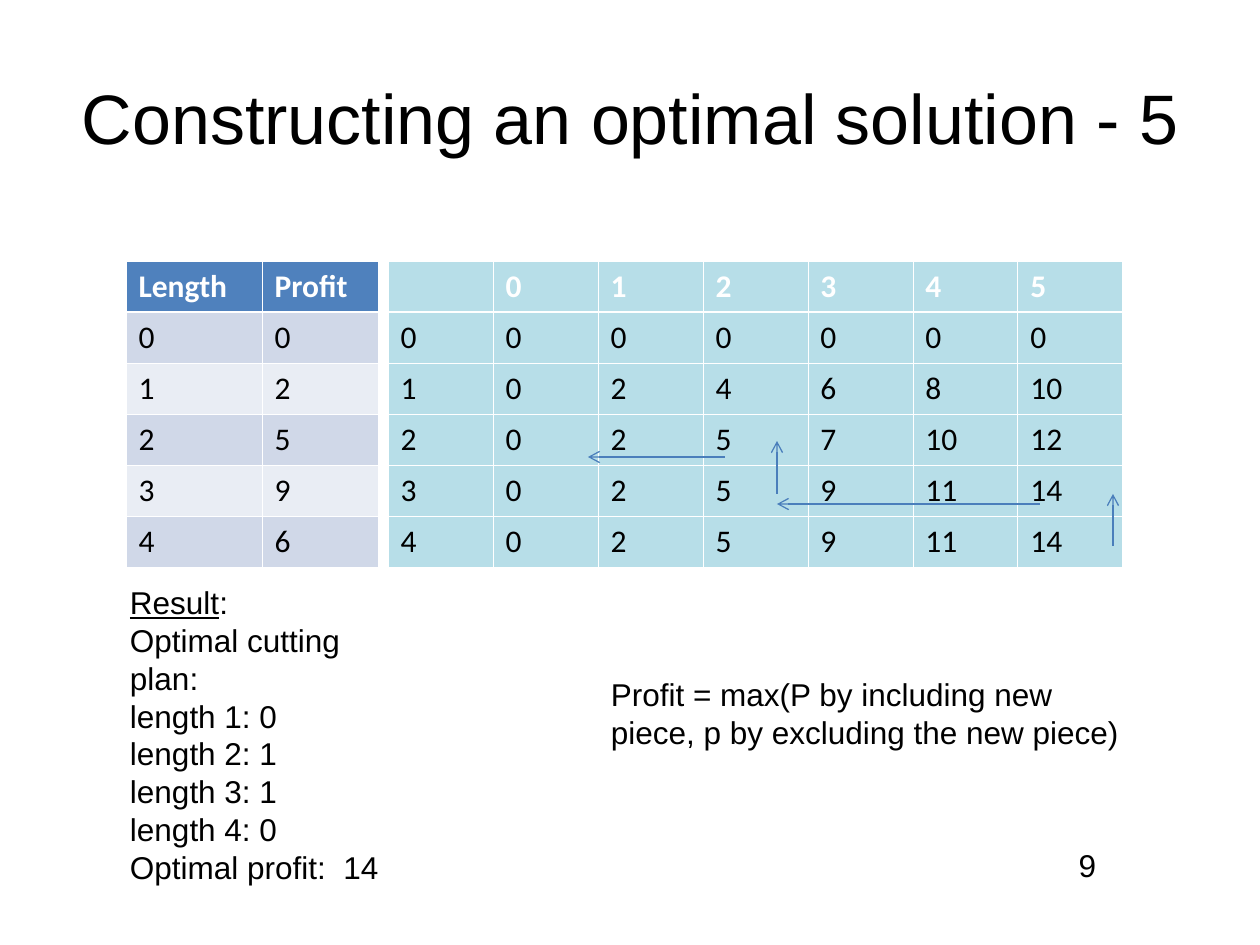
from dataclasses import dataclass

import lxml.etree
import pptx
import pptx.dml.color
import pptx.enum.shapes
import pptx.enum.text
import pptx.oxml.ns
import pptx.util

PX_PER_INCH = 126
ROW_HEIGHT = 51
TABLE_TOP = 261
BLACK, WHITE, ARROW_BLUE = "000000", "FFFFFF", "4A7EBB"
ALIGN = pptx.enum.text.PP_ALIGN
ANCHOR = pptx.enum.text.MSO_ANCHOR


@dataclass
class Run:
    text: str
    underline: bool = False


@dataclass
class Label:
    left: int
    top: int
    width: int
    height: int
    paragraphs: list[list[Run]]
    size: int = 18
    align: ALIGN = ALIGN.LEFT
    anchor: ANCHOR = ANCHOR.TOP
    wrap: bool = True
    side_inset: int = 13


@dataclass
class Grid:
    left: int
    columns: list[int]
    header_fill: str
    body_fills: list[str]
    rows: list[list[str]]


@dataclass
class Arrow:
    start: tuple[int, int]
    end: tuple[int, int]


def px(length: int) -> pptx.util.Emu:
    return pptx.util.Emu(round(length * 914400 / PX_PER_INCH))


def colour(value: str) -> pptx.dml.color.RGBColor:
    return pptx.dml.color.RGBColor.from_string(value)


def add_run(paragraph, run: Run, size: int, face: str, ink: str, bold: bool = False) -> None:
    piece = paragraph.add_run()
    piece.text = run.text
    piece.font.size = pptx.util.Pt(size)
    piece.font.name = face
    piece.font.bold = bold
    piece.font.underline = run.underline
    piece.font.color.rgb = colour(ink)


def add_label(slide, label: Label) -> None:
    box = slide.shapes.add_textbox(
        px(label.left), px(label.top), px(label.width), px(label.height)
    )
    frame = box.text_frame
    frame.word_wrap = label.wrap
    frame.vertical_anchor = label.anchor
    frame.margin_left = frame.margin_right = px(label.side_inset)
    for index, runs in enumerate(label.paragraphs):
        paragraph = frame.add_paragraph() if index else frame.paragraphs[0]
        paragraph.alignment = label.align
        for run in runs:
            add_run(paragraph, run, label.size, "Arial", BLACK)


def add_borders(cell, top: float, bottom: float) -> None:
    properties = cell._tc.get_or_add_tcPr()
    for tag, width in (("a:lnL", 0.45), ("a:lnR", 0.45), ("a:lnT", top), ("a:lnB", bottom)):
        edge = lxml.etree.SubElement(
            properties, pptx.oxml.ns.qn(tag), w=str(pptx.util.Pt(width))
        )
        fill = lxml.etree.SubElement(edge, pptx.oxml.ns.qn("a:solidFill"))
        lxml.etree.SubElement(fill, pptx.oxml.ns.qn("a:srgbClr"), val=WHITE)


def add_grid(slide, grid: Grid) -> None:
    table = slide.shapes.add_table(
        len(grid.rows), len(grid.columns), px(grid.left), px(TABLE_TOP),
        px(sum(grid.columns)), px(ROW_HEIGHT * len(grid.rows)),
    ).table
    for column, width in zip(table.columns, grid.columns):
        column.width = px(width)
    for row_index, values in enumerate(grid.rows):
        table.rows[row_index].height = px(ROW_HEIGHT)
        header = row_index == 0
        fill = grid.header_fill if header else grid.body_fills[(row_index - 1) % len(grid.body_fills)]
        for column_index, value in enumerate(values):
            cell = table.cell(row_index, column_index)
            add_borders(cell, 1.47 if row_index == 1 else 0.45, 1.47 if header else 0.45)
            cell.fill.solid()
            cell.fill.fore_color.rgb = colour(fill)
            cell.vertical_anchor = ANCHOR.MIDDLE
            if value:
                ink = WHITE if header else BLACK
                add_run(cell.text_frame.paragraphs[0], Run(value), 18, "Calibri", ink, header)


def add_arrow(slide, arrow: Arrow) -> None:
    connector = slide.shapes.add_connector(
        pptx.enum.shapes.MSO_CONNECTOR.STRAIGHT,
        *(px(length) for length in arrow.start + arrow.end),
    )
    connector.line.color.rgb = colour(ARROW_BLUE)
    connector.line.width = pptx.util.Pt(0.75)
    lxml.etree.SubElement(
        connector.line._get_or_add_ln(), pptx.oxml.ns.qn("a:tailEnd"), type="arrow"
    )
    lxml.etree.SubElement(connector._element.spPr, pptx.oxml.ns.qn("a:effectLst"))


PAGE_NUMBER = Label(998, 840, 179, 50, [[Run("9")]], align=ALIGN.CENTER)
TITLE = Label(
    63, 38, 1134, 157, [[Run("Constructing an optimal solution - 5")]],
    size=40, align=ALIGN.CENTER, anchor=ANCHOR.MIDDLE, side_inset=0,
)
PROFIT_RULE = Label(
    598, 669, 557, 88,
    [[Run("Profit = max(P by including new piece, p by excluding the new piece)")]],
)
RESULT_LINES = [
    "Optimal cutting plan:",
    "length 1: 0",
    "length 2: 1",
    "length 3: 1",
    "length 4: 0",
    "Optimal profit:  14",
]
RESULT = Label(
    117, 577, 312, 277,
    [[Run("Result", underline=True), Run(":")]] + [[Run(line)] for line in RESULT_LINES],
    wrap=False,
)
BEST_PROFITS = Grid(
    388, [105] * 7, "B7DEE8", ["B7DEE8"],
    [
        ["", "0", "1", "2", "3", "4", "5"],
        ["0", "0", "0", "0", "0", "0", "0"],
        ["1", "0", "2", "4", "6", "8", "10"],
        ["2", "0", "2", "5", "7", "10", "12"],
        ["3", "0", "2", "5", "9", "11", "14"],
        ["4", "0", "2", "5", "9", "11", "14"],
    ],
)
PIECE_PROFITS = Grid(
    126, [136, 116], "4F81BD", ["D0D8E8", "E9EDF4"],
    [["Length", "Profit"], ["0", "0"], ["1", "2"], ["2", "5"], ["3", "9"], ["4", "6"]],
)
TRACEBACK = [
    Arrow((1113, 546), (1113, 494)),
    Arrow((1040, 504), (777, 504)),
    Arrow((777, 494), (777, 441)),
    Arrow((725, 457), (588, 457)),
]


def main() -> None:
    presentation = pptx.Presentation()
    presentation.slide_width = px(1260)
    presentation.slide_height = px(945)
    slide = presentation.slides.add_slide(presentation.slide_layouts[6])
    add_label(slide, PAGE_NUMBER)
    add_label(slide, TITLE)
    add_grid(slide, BEST_PROFITS)
    add_label(slide, PROFIT_RULE)
    for arrow in TRACEBACK:
        add_arrow(slide, arrow)
    add_label(slide, RESULT)
    add_grid(slide, PIECE_PROFITS)
    presentation.save("out.pptx")


if __name__ == "__main__":
    main()
